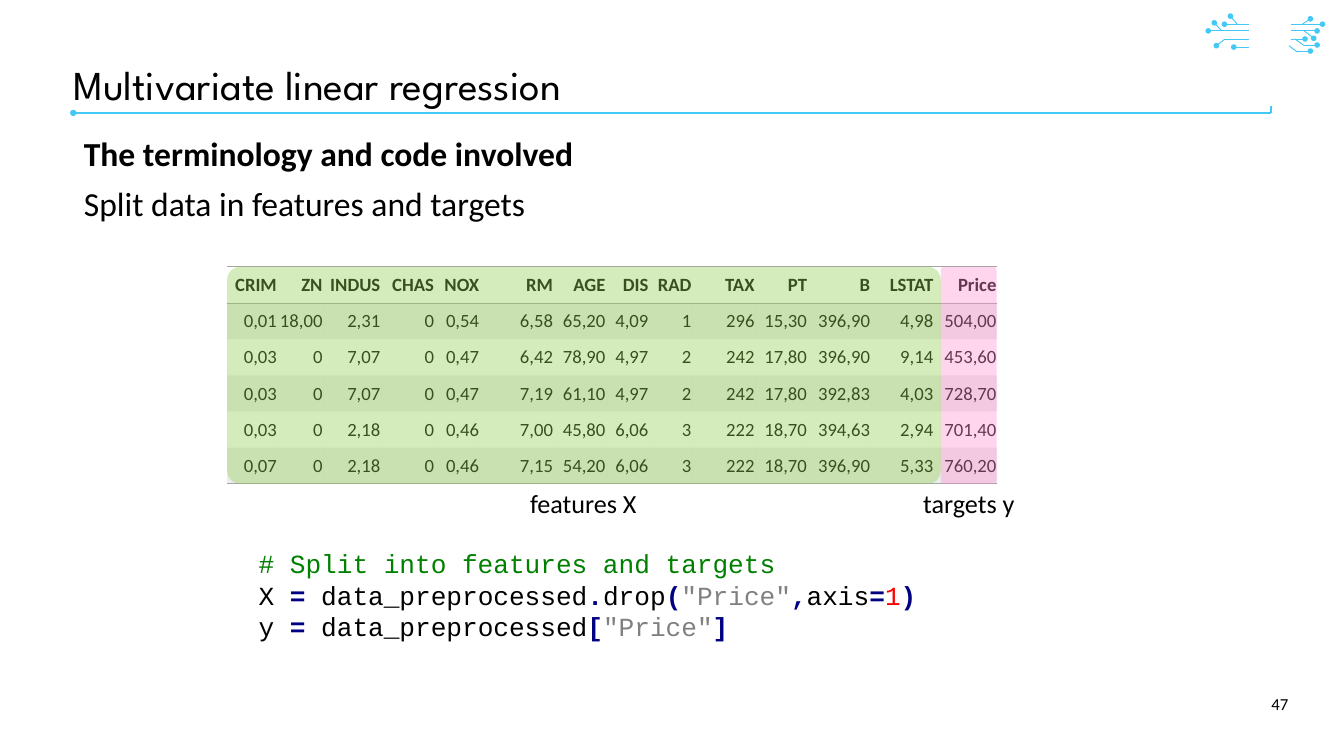
import pptx
import pptx.dml.color
import pptx.enum.shapes
import pptx.enum.text
import pptx.oxml
import pptx.oxml.ns
import pptx.util

COLS, ROWS = 20, 11.25  # square grid over the whole slide
WIDE = pptx.util.Inches(20)
BLUE, GREY, GREEN, PINK = "44C8F5", "A5A5A5", "92D050", "FF91D2"
NAVY, RED, LEAF, ASH, BLACK = "000080", "FF0000", "008000", "808080", "000000"
SHAPE = pptx.enum.shapes.MSO_SHAPE
MIDDLE = pptx.enum.text.MSO_ANCHOR.MIDDLE
RIGHT = pptx.enum.text.PP_ALIGN.RIGHT

WIDTHS = [.75, .68, .86, .8, .67, 1.1, .78, .64, .64, .94, .78, .94, .94, .94]
DATA = """CRIM ZN INDUS CHAS NOX RM AGE DIS RAD TAX PT B LSTAT Price
0,01 18,00 2,31 0 0,54 6,58 65,20 4,09 1 296 15,30 396,90 4,98 504,00
0,03 0 7,07 0 0,47 6,42 78,90 4,97 2 242 17,80 396,90 9,14 453,60
0,03 0 7,07 0 0,47 7,19 61,10 4,97 2 242 17,80 392,83 4,03 728,70
0,03 0 2,18 0 0,46 7,00 45,80 6,06 3 222 18,70 394,63 2,94 701,40
0,07 0 2,18 0 0,46 7,15 54,20 6,06 3 222 18,70 396,90 5,33 760,20"""

# Start x, y, end x, y from the corner of the art, and whether it ends in a dot
TRACES = [
    (.6, .12, .24, .12, True), (.6, .22, 0, .22, True), (.6, .34, .24, .34, False),
    (.25, .34, .12, .44, True), (.6, .46, .38, .46, True), (.43, .12, .33, 0, True),
    (.2, .22, .09, .1, True), (1.23, .22, 1.62, .22, True), (1.43, .44, 1.29, .34, False),
    (1.42, .43, 1.62, .43, True), (1.23, .34, 1.44, .34, True), (1.43, .22, 1.57, .33, True),
    (1.23, .12, 1.7, .12, True), (1.32, .53, 1.2, .44, False), (1.32, .52, 1.52, .52, True),
    (1.4, .12, 1.52, .04, True)]

CODE = [
    [("# Split into features and targets", LEAF)],
    [("X ", BLACK), ("=", NAVY), (" data_preprocessed", BLACK), (".", NAVY),
     ("drop", BLACK), ("(", NAVY), ('"Price"', ASH), (",", NAVY), ("axis", BLACK),
     ("=", NAVY), ("1", RED), (")", NAVY)],
    [("y ", BLACK), ("=", NAVY), (" data_preprocessed", BLACK), ("[", NAVY),
     ('"Price"', ASH), ("]", NAVY)]]


def grid(*units):
    return [round(WIDE / COLS * unit) for unit in units]


def paint(color, value):
    color.rgb = pptx.dml.color.RGBColor.from_string(value)


def fill(thing, value, alpha):
    """Fill a shape or cell with a see-through colour."""
    thing.fill.solid()
    paint(thing.fill.fore_color, value)
    tint = thing.fill._xPr.find(".//" + pptx.oxml.ns.qn("a:srgbClr"))
    pptx.oxml.ns.qn("a:alpha")
    tint.append(make("a:alpha", val=alpha * 1000))


def make(tag, **attrs):
    node = pptx.oxml.parse_xml(f"<{tag} {pptx.oxml.ns.nsdecls('a')}/>")
    for key, value in attrs.items():
        node.set(key, str(value))
    return node


def write(para, text, color=BLACK, **style):
    run = para.add_run()
    run.text = text
    for key, value in style.items():
        setattr(run.font, key, value)
    paint(run.font.color, color)


def frame(slide, box, wrap=True, **style):
    text = slide.shapes.add_textbox(*grid(*box)).text_frame
    text.word_wrap = wrap
    for key, value in style.items():
        setattr(text, key, value)
    return text


def line(shapes, ends, width, dot=None):
    """Draw a line; dot names the end, headEnd or tailEnd, that has a dot."""
    link = shapes.add_connector(pptx.enum.shapes.MSO_CONNECTOR.STRAIGHT, *grid(*ends))
    paint(link.line.color, BLUE)
    link.line.width = pptx.util.Pt(width)
    if dot:
        link.line._ln.append(make("a:" + dot, type="oval"))
    link._element.spPr.append(make("a:effectLst"))


def circuit(slide, box):
    x, y = box[:2]
    group = slide.shapes.add_group_shape()
    for x1, y1, x2, y2, dot in TRACES:
        line(group.shapes, (x + x1, y + y1, x + x2, y + y2), 1, "tailEnd" if dot else None)


def header(slide, box):
    x, y, w, h = box
    base, end = y + h + .02, x + w
    line(slide.shapes, (x, base, end, base), 2.25, "headEnd")
    line(slide.shapes, (end, base, end, base - .1), 2.25)
    text = frame(slide, (x, y, w * .92, h), margin_left=0, margin_top=0,
                 margin_right=0, margin_bottom=0)
    text.paragraphs[0].line_spacing = .9
    write(text.paragraphs[0], "Multivariate linear regression",
          size=pptx.util.Pt(44), name="League Spartan")


def body(slide, box):
    text = frame(slide, box)
    first, second = text.paragraphs[0], text.add_paragraph()
    second.space_before = pptx.util.Pt(15)
    for para, words, bold in ((first, "The terminology and code involved", True),
                              (second, "Split data in features and targets", False)):
        para.line_spacing = .9
        write(para, words, size=pptx.util.Pt(36), name="Calibri", bold=bold)


def border(cell, side):
    edge = make("a:" + side, w=pptx.util.Pt(1))
    edge.append(make("a:solidFill"))
    edge[0].append(make("a:srgbClr", val=GREY))
    return edge


def table(slide, box):
    rows = [row.split() for row in DATA.splitlines()]
    shape = slide.shapes.add_table(len(rows), len(WIDTHS), *grid(*box))
    sheet = shape.table
    sheet.first_row = sheet.horz_banding = False
    # No style, no grid
    sheet._tbl.tblPr.find(pptx.oxml.ns.qn("a:tableStyleId")).text = \
        "{2D5ABB26-0587-4C30-8999-92F81FD0307C}"
    for column, width in zip(sheet.columns, grid(*WIDTHS)):
        column.width = width
    thin = pptx.util.Inches(.01)
    look = dict(margin_left=thin, margin_top=thin, margin_right=thin,
                margin_bottom=0, vertical_anchor=MIDDLE)
    sides = {0: ("lnT", "lnB"), len(rows) - 1: ("lnB",)}
    for r, row in enumerate(rows):
        for c, value in enumerate(row):
            cell = sheet.cell(r, c)
            for key, setting in look.items():
                setattr(cell, key, setting)
            para = cell.text_frame.paragraphs[0]
            para.alignment = RIGHT
            write(para, value, size=pptx.util.Pt(20), name="Calibri", bold=r == 0)
            if r % 2:
                fill(cell, GREY, 20)
            else:
                cell.fill.background()
            for spot, side in enumerate(sides.get(r, ())):
                cell._tc.tcPr.insert(spot, border(cell, side))


def veil(slide, box, color):
    shape = slide.shapes.add_shape(SHAPE.ROUNDED_RECTANGLE, *grid(*box))
    shape.adjustments[0] = .06
    shape.shadow.inherit = False
    shape.line.fill.background()
    fill(shape, color, 39)


def split(slide, box):
    """Table with its feature and target columns marked and named."""
    x, y, w, h = box
    cut, end = x + 10.62, x + 11.45
    table(slide, box)
    veil(slide, (x, y, cut - x, h), GREEN)
    veil(slide, (cut, y, end - cut, h), PINK)
    for label, left, width in (("features X", x + 4.41, 1.8), ("targets y", cut - .36, 1.57)):
        text = frame(slide, (left, y + h, width, .57), wrap=False)
        write(text.paragraphs[0], label, size=pptx.util.Pt(28), name="Calibri")


def code(slide, box):
    text = frame(slide, box)
    for n, parts in enumerate(CODE):
        para = text.add_paragraph() if n else text.paragraphs[0]
        for words, color in parts:
            write(para, words, color, size=pptx.util.Pt(28), name="Courier New",
                  bold=color == NAVY)


def number(slide, box):
    para = frame(slide, box, vertical_anchor=MIDDLE).paragraphs[0]
    para.alignment = RIGHT
    write(para, "47", size=pptx.util.Pt(18), name="Calibri")


def main():
    deck = pptx.Presentation()
    deck.slide_width, deck.slide_height = grid(COLS, ROWS)
    slide = deck.slides.add_slide(deck.slide_layouts[6])
    circuit(slide, (17.98, .24, 1.7, .53))
    header(slide, (1.09, .97, 17.82, .69))
    body(slide, (1.15, 1.99, 18.13, 8.19))
    number(slide, (18.18, 10.18, 1.09, .6))
    split(slide, (3.38, 3.97, 11.45, 3.23))
    code(slide, (3.75, 8.1, 10.03, 1.51))
    deck.save("out.pptx")


if __name__ == "__main__":
    main()
